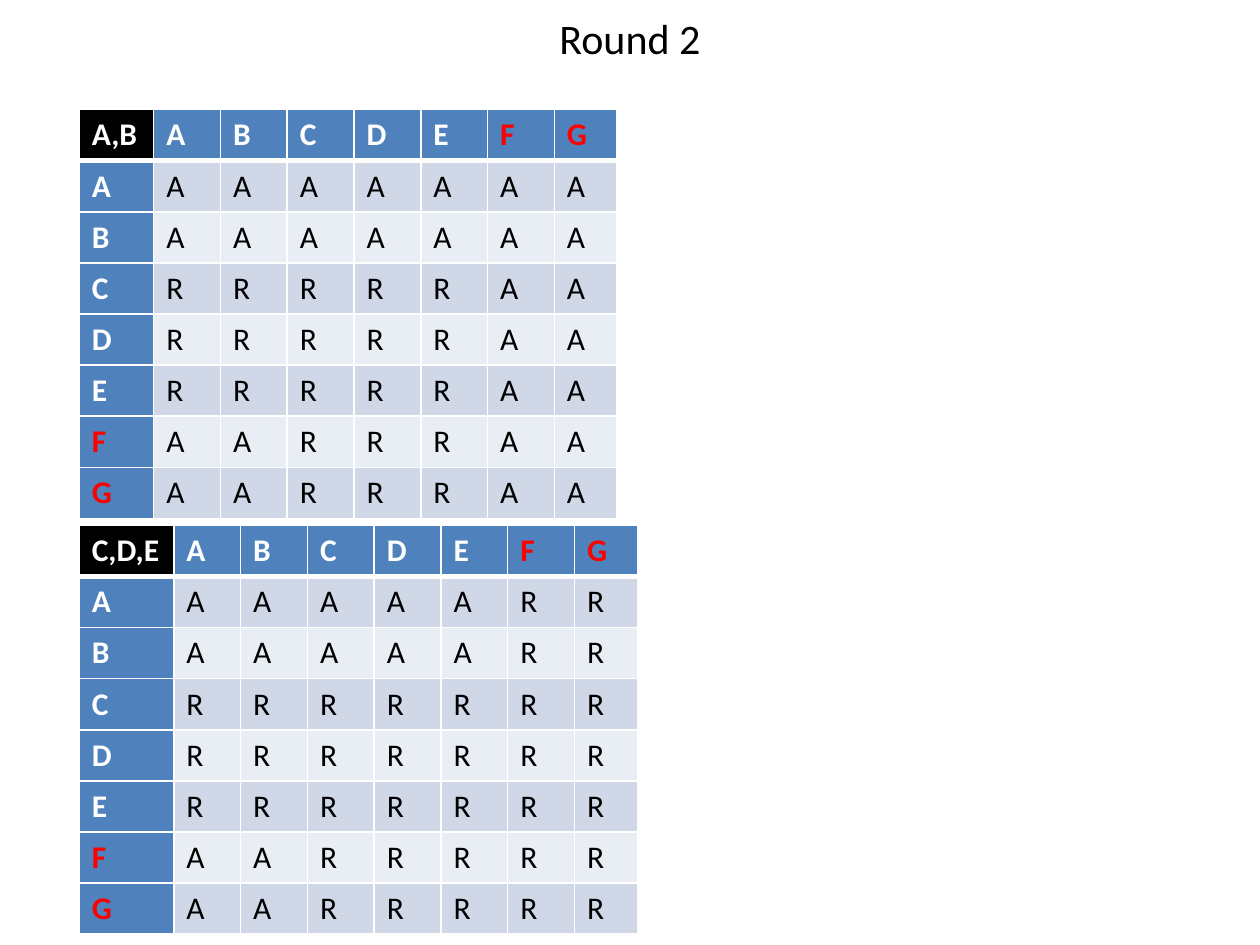
from lxml.etree import SubElement
from pptx import Presentation
from pptx.dml.color import RGBColor
from pptx.enum.text import PP_ALIGN
from pptx.oxml.ns import qn
from pptx.util import Inches, Pt

LETTERS = "ABCDEFG"
WHITE, BLACK, RED, BLUE = "FFFFFF", "000000", "FF0000", "4F81BD"
BANDS = ("D0D8E8", "E9EDF4")


def colour(value):
    return RGBColor.from_string(value)


class SlideBuilder:
    """Holds the style and the slide; lengths are units of a 100 by 75 grid."""

    font = "Calibri"
    columns, rows = 100, 75

    def __init__(self, presentation):
        self.width = presentation.slide_width
        self.height = presentation.slide_height
        self.slide = presentation.slides.add_slide(presentation.slide_layouts[6])

    def across(self, units):
        return round(self.width * units / self.columns)

    def down(self, units):
        return round(self.height * units / self.rows)

    def place(self, left, top, width, height):
        return self.across(left), self.down(top), self.across(width), self.down(height)

    def set_text(self, text_frame, text, size, text_colour, bold=False):
        text_frame.text = text
        font = text_frame.paragraphs[0].runs[0].font
        font.name, font.size, font.bold = self.font, Pt(size), bold
        font.color.rgb = colour(text_colour)

    def title(self, text, left, top, width, height):
        text_frame = self.slide.shapes.add_textbox(
            *self.place(left, top, width, height)).text_frame
        text_frame.word_wrap = True
        self.set_text(text_frame, text, 24, BLACK)
        text_frame.paragraphs[0].alignment = PP_ALIGN.CENTER

    def border(self, cell, widths):
        properties = cell._tc.get_or_add_tcPr()
        for position, (side, points) in enumerate(widths.items()):
            line = SubElement(properties, qn(f"a:ln{side}"), w=str(Pt(points)))
            fill = SubElement(line, qn("a:solidFill"))
            SubElement(fill, qn("a:srgbClr"), val=WHITE)
            properties.insert(position, line)

    def response_table(self, corner, responses, left, top, first_width,
                       column_width=5.3, row_height=4):
        count = len(LETTERS) + 1
        widths = [first_width] + [column_width] * len(LETTERS)
        table = self.slide.shapes.add_table(count, count, *self.place(
            left, top, sum(widths), row_height * count)).table
        for column, width in zip(table.columns, widths):
            column.width = self.across(width)

        # Letters head the columns and the rows
        grid = [[corner, *LETTERS]]
        grid += [[letter, *line] for letter, line in zip(LETTERS, responses)]
        for row, line in enumerate(grid):
            for column, text in enumerate(line):
                cell = table.cell(row, column)
                heading = row == 0 or column == 0
                if heading:
                    fill = BLUE if row or column else BLACK
                    text_colour = RED if text in "FG" else WHITE
                else:
                    fill, text_colour = BANDS[(row - 1) % 2], BLACK
                self.set_text(cell.text_frame, text, 18, text_colour, heading)
                cell.fill.solid()
                cell.fill.fore_color.rgb = colour(fill)
                self.border(cell, {
                    "L": 1,
                    "R": 6 if column == count - 1 else 1,
                    "T": 3 if row == 1 else 1,
                    "B": 3 if row == 0 else 1,
                })


presentation = Presentation()
presentation.slide_width, presentation.slide_height = Inches(10), Inches(7.5)
builder = SlideBuilder(presentation)

# Responses of the two groups, one string for each row
builder.response_table(
    "A,B", ["AAAAAAA"] * 2 + ["RRRRRAA"] * 3 + ["AARRRAA"] * 2, 6.3, 8.7, 5.9)
builder.response_table(
    "C,D,E", ["AAAAARR"] * 2 + ["RRRRRRR"] * 3 + ["AARRRRR"] * 2, 6.3, 41.7, 7.5)

# Title
builder.title("Round 2", 19.3, 0.5, 61.4, 5)

presentation.save("out.pptx")
